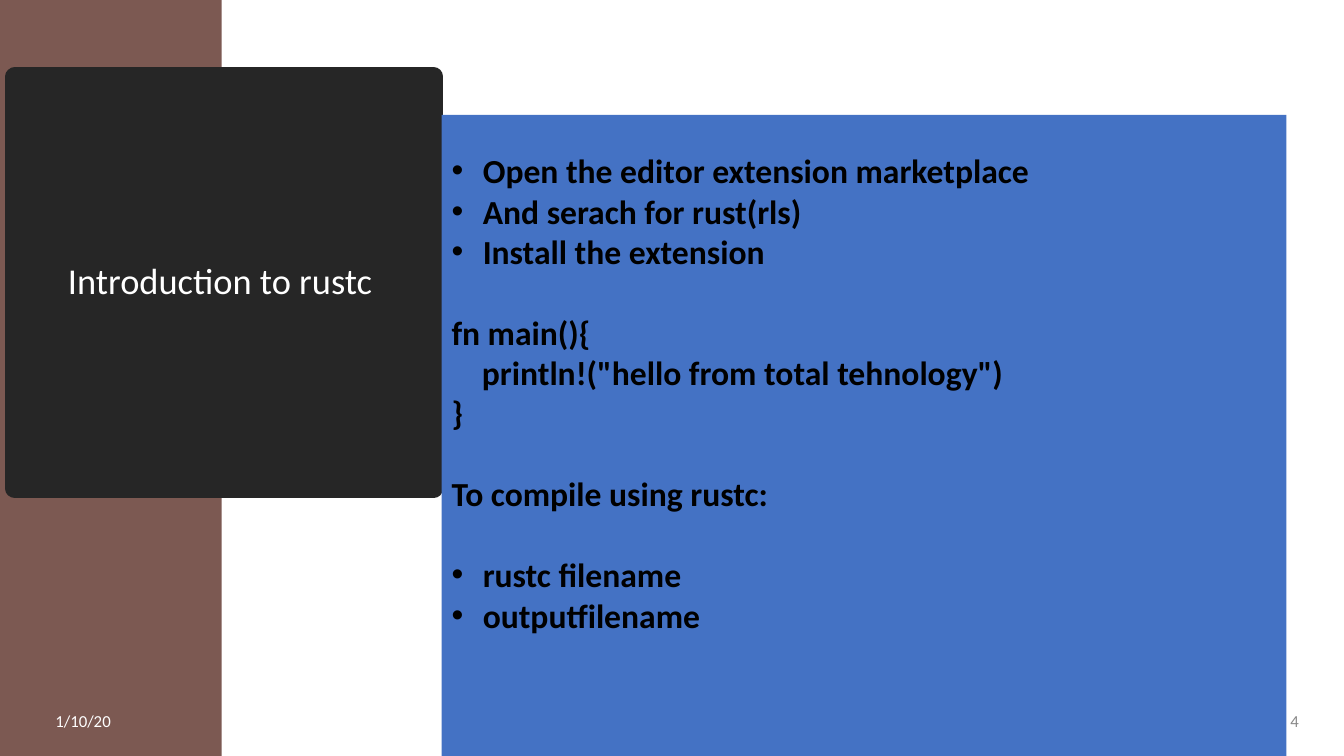
import pptx
import pptx.util
import pptx.dml.color
import pptx.enum.shapes
import pptx.enum.text
import pptx.oxml
import lxml.etree
from pptx.oxml.ns import qn

RGB = pptx.dml.color.RGBColor
BROWN = RGB(0x7C, 0x59, 0x52)
CHARCOAL = RGB(0x26, 0x26, 0x26)
BLUE = RGB(0x44, 0x72, 0xC4)
WHITE = RGB(0xFF, 0xFF, 0xFF)
BLACK = RGB(0, 0, 0)
GREY = RGB(0x89, 0x89, 0x89)

TITLE = "Introduction to rustc"
DATE, NUMBER = "1/10/20", "4"
# Blocks of lines, each (bulleted, lines)
BLOCKS = [
    (True, ["Open the editor extension marketplace",
            "And serach for rust(rls)",
            "Install the extension"]),
    (False, ["fn main(){",
             "    println!(\"hello from total tehnology\")",
             "}"]),
    (False, ["To compile using rustc:"]),
    (True, ["rustc filename", "outputfilename"]),
]

WIDTH, HEIGHT = 13.33, 7.5
SIDEBAR = (0, 0, WIDTH * 0.165, HEIGHT)
TITLE_CARD = (0.15, 0.76, 4.15, 4.09)
PANEL = (4.38, 1.14, 8.38, 7.67)
FOOTER_TOP, FOOTER_HEIGHT = 6.95, 0.4
TOP_INSET = 0.35
BLOCK_GAP = 29
BULLET_INDENT = 0.31

ALIGN = pptx.enum.text.PP_ALIGN
ANCHOR = pptx.enum.text.MSO_ANCHOR


def inches(box):
    return [pptx.util.Inches(length) for length in box]


def add_block(slide, box, color):
    block = slide.shapes.add_shape(
        pptx.enum.shapes.MSO_SHAPE.RECTANGLE, *inches(box))
    block.shadow.inherit = False
    block.fill.solid()
    block.fill.fore_color.rgb = color
    block.line.fill.background()
    return block


def write(paragraph, text, size, color, align=ALIGN.LEFT, bold=False):
    paragraph.alignment = align
    run = paragraph.add_run()
    run.text = text
    run.font.name = "Calibri"
    run.font.size = pptx.util.Pt(size)
    run.font.color.rgb = color
    run.font.bold = bold


def add_bullet(paragraph):
    properties = paragraph._p.get_or_add_pPr()
    indent = pptx.util.Inches(BULLET_INDENT)
    properties.set("marL", str(indent))
    properties.set("indent", str(-indent))
    lxml.etree.SubElement(properties, qn("a:buFont")).set("typeface", "Arial")
    lxml.etree.SubElement(properties, qn("a:buChar")).set("char", "•")


def add_title(slide):
    card = add_block(slide, TITLE_CARD, CHARCOAL)
    card.line.color.rgb = CHARCOAL
    card.line.width = pptx.util.Pt(13.75)
    lxml.etree.SubElement(card.line._get_or_add_ln(), qn("a:round"))
    card.text_frame.vertical_anchor = ANCHOR.MIDDLE
    card.text_frame.margin_right = pptx.util.Inches(0.18)
    heading = card.text_frame.paragraphs[0]
    heading.line_spacing = 0.9
    write(heading, TITLE, 26, WHITE, ALIGN.CENTER)


def add_steps(slide):
    frame = add_block(slide, PANEL, BLUE).text_frame
    frame.vertical_anchor = ANCHOR.TOP
    frame.margin_top = pptx.util.Inches(TOP_INSET)
    paragraph = frame.paragraphs[0]
    for block_index, (bulleted, lines) in enumerate(BLOCKS):
        for line_index, line in enumerate(lines):
            if block_index or line_index:
                paragraph = frame.add_paragraph()
            if bulleted:
                add_bullet(paragraph)
            if block_index and not line_index:
                paragraph.space_before = pptx.util.Pt(BLOCK_GAP)
            write(paragraph, line, 24, BLACK, bold=True)


def add_footer(slide, text, left, width, color, align):
    frame = slide.shapes.add_textbox(
        *inches((left, FOOTER_TOP, width, FOOTER_HEIGHT))).text_frame
    frame.word_wrap = True
    frame.vertical_anchor = ANCHOR.MIDDLE
    write(frame.paragraphs[0], text, 12, color, align)


def main():
    deck = pptx.Presentation()
    deck.slide_width, deck.slide_height = inches((WIDTH, HEIGHT))
    slide = deck.slides.add_slide(deck.slide_layouts[6])
    add_block(slide, SIDEBAR, BROWN)
    add_title(slide)
    add_footer(slide, DATE, 0.45, 1.62, WHITE, ALIGN.LEFT)
    add_footer(slide, NUMBER, 12.37, 0.61, GREY, ALIGN.RIGHT)
    add_steps(slide)
    deck.save("out.pptx")


if __name__ == "__main__":
    main()
